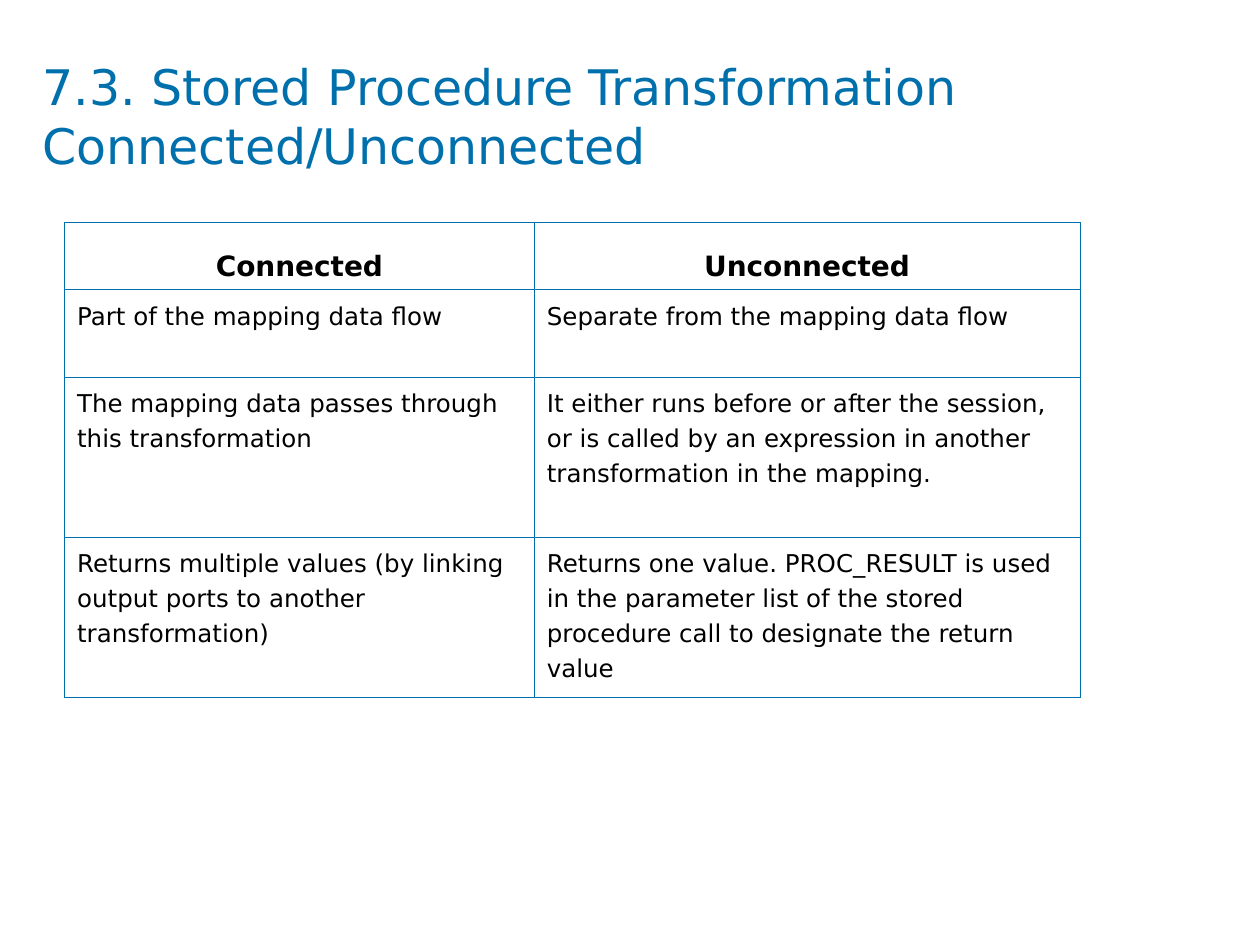
import pptx
import pptx.dml.color
import pptx.enum.text
import pptx.oxml
import pptx.oxml.ns
import pptx.util
from pptx.util import Cm, Pt

COLORS = {"blue": "0070AD", "black": "000000"}
FONT = "DejaVu Sans"
ALIGN = pptx.enum.text.PP_ALIGN


def write(frame, text, size, color="black", bold=False, align=ALIGN.LEFT,
          line_height=None, before=0):
    frame.word_wrap = True
    paragraph = frame.paragraphs[0]
    paragraph.text = text
    paragraph.alignment = align
    paragraph.space_before = Pt(before)
    if line_height:
        paragraph.line_spacing = Pt(line_height)
    for run in paragraph.runs:
        run.font.name = FONT
        run.font.size = Pt(size)
        run.font.bold = bold
        run.font.color.rgb = pptx.dml.color.RGBColor.from_string(COLORS[color])


def outline(cell, color, width):
    """Draw all four borders of a table cell."""
    properties = cell._tc.get_or_add_tcPr()
    for position, side in enumerate(("lnL", "lnR", "lnT", "lnB")):
        properties.insert(position, pptx.oxml.parse_xml(
            f'<a:{side} {pptx.oxml.ns.nsdecls("a")} w="{Pt(width)}"><a:solidFill>'
            f'<a:srgbClr val="{COLORS[color]}"/></a:solidFill></a:{side}>'))


presentation = pptx.Presentation()
presentation.slide_width = Cm(25.4)
presentation.slide_height = Cm(19.05)
slide = presentation.slides.add_slide(presentation.slide_layouts[6])

# Title
title = slide.shapes.add_textbox(Cm(0.86), Cm(1.14), Cm(23.7), Cm(2.39)).text_frame
title.margin_left = title.margin_top = title.margin_right = title.margin_bottom = 0
title.vertical_anchor = pptx.enum.text.MSO_ANCHOR.MIDDLE
write(title, "7.3. Stored Procedure Transformation\vConnected/Unconnected", 28, color="blue")

# Comparison table
comparison = [
    ("Connected", "Unconnected"),
    ("Part of the mapping data flow", "Separate from the mapping data flow"),
    ("The mapping data passes through this transformation",
     "It either runs before or after the session, or is called by an expression "
     "in another transformation in the mapping."),
    ("Returns multiple values (by linking output ports to another transformation)",
     "Returns one value. PROC_RESULT is used in the parameter list of the stored "
     "procedure call to designate the return value"),
]
column_widths = [9.47, 11]
row_heights = [1.35, 1.76, 3.23, 3.23]
header_format = dict(size=16, bold=True, align=ALIGN.CENTER, line_height=31, before=4)
body_format = dict(size=14, line_height=20, before=3.5)

table = slide.shapes.add_table(
    len(row_heights), len(column_widths), Cm(1.3), Cm(4.49),
    Cm(sum(column_widths)), Cm(sum(row_heights))).table
table.horz_banding = False
table.first_row = False
for column, width in zip(table.columns, column_widths):
    column.width = Cm(width)
for row_index, (row, height, texts) in enumerate(zip(table.rows, row_heights, comparison)):
    row.height = Cm(height)
    for cell, text in zip(row.cells, texts):
        cell.fill.background()
        outline(cell, "blue", 0.45)
        write(cell.text_frame, text, **(body_format if row_index else header_format))

presentation.save("out.pptx")
